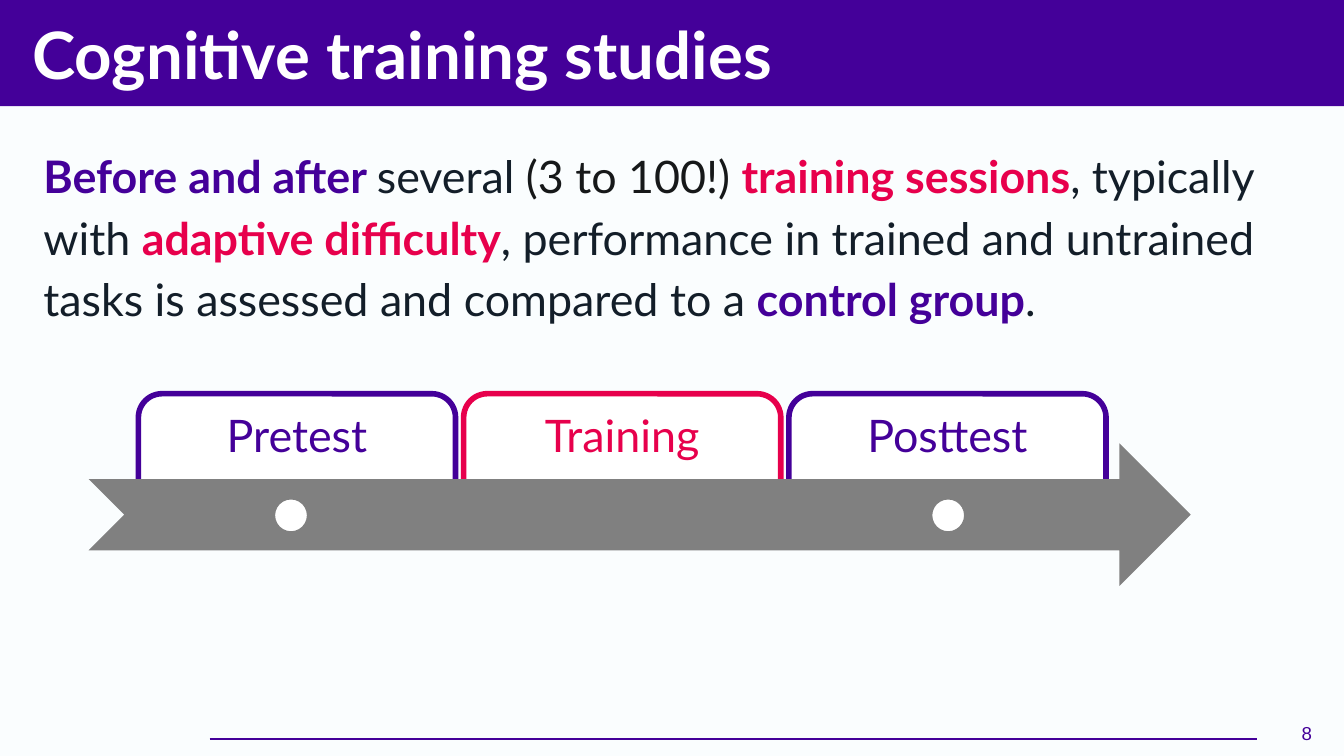
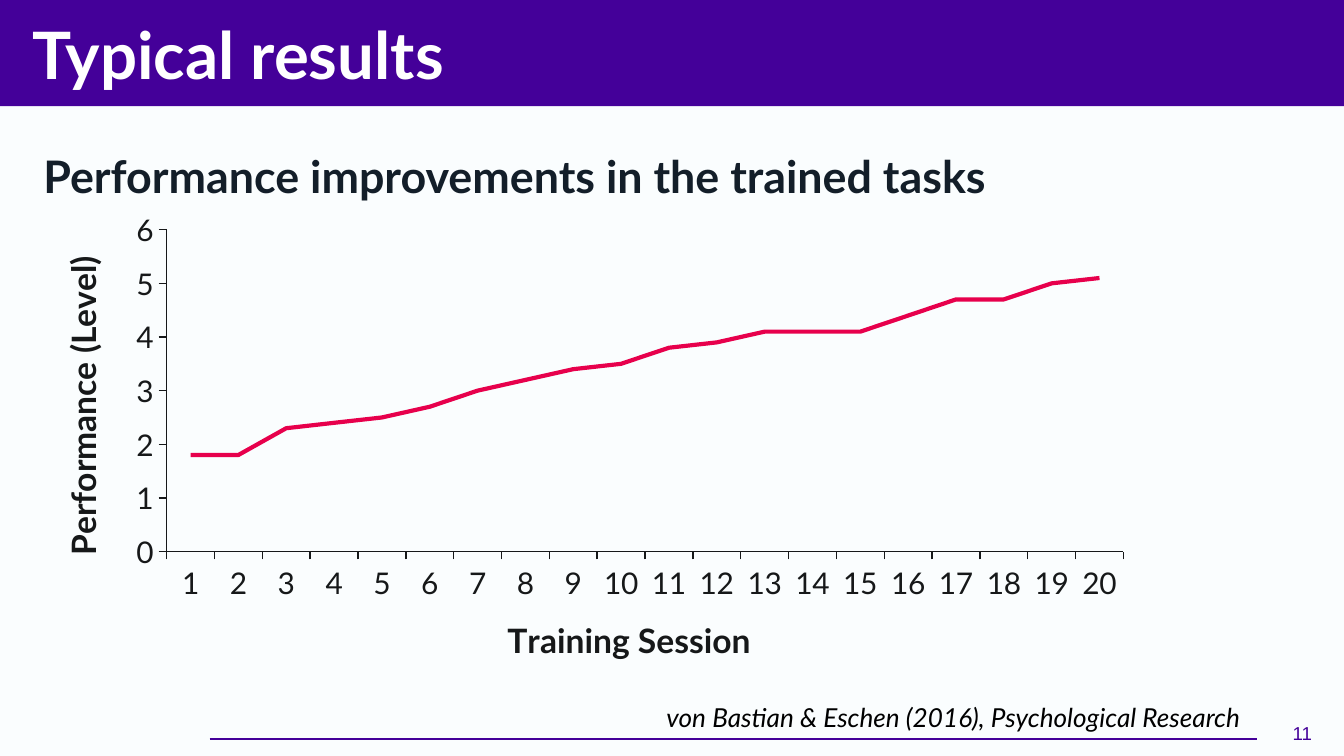
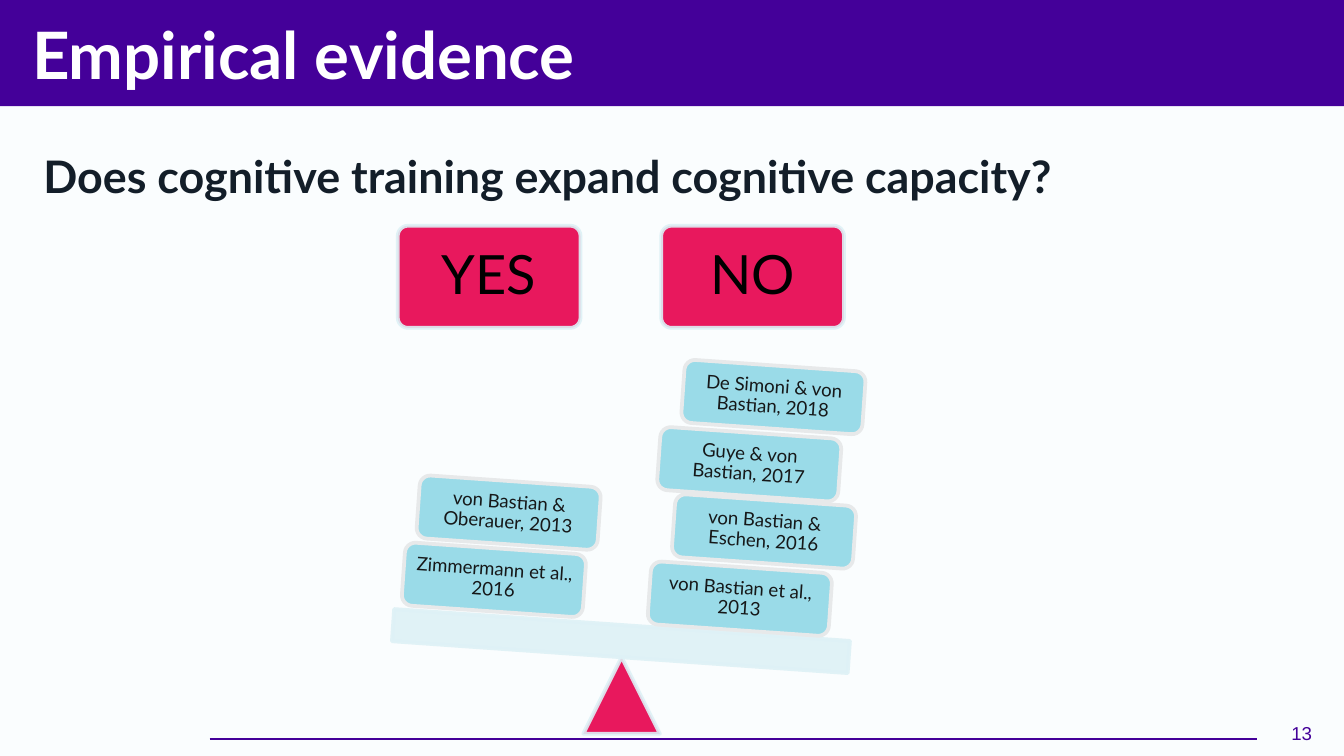
from dataclasses import dataclass
from typing import Optional, Sequence

from lxml.etree import SubElement
from pptx import Presentation
from pptx.chart.data import CategoryChartData
from pptx.dml.color import RGBColor
from pptx.enum.chart import XL_CHART_TYPE, XL_TICK_MARK
from pptx.enum.shapes import MSO_CONNECTOR, MSO_SHAPE
from pptx.enum.text import MSO_ANCHOR, PP_ALIGN
from pptx.oxml.ns import qn
from pptx.util import Emu, Inches, Pt

# Square grid: 100 columns across a 16:9 slide, rows of the same size
SLIDE_WIDTH = Inches(10)
SLIDE_HEIGHT = Emu(SLIDE_WIDTH * 9 // 16)
CELL = SLIDE_WIDTH / 100

PURPLE, RED, WHITE, BLACK = "440099", "E7004C", "FFFFFF", "000000"
INK, CHARCOAL, GREY = "131E29", "161819", "808080"
BACKGROUND, PALE, AQUA, MIST = "FAFDFE", "DEF1F6", "9ADBE8", "E7E9EA"
TILT = 4


@dataclass(frozen=True)
class Box:
    left: float
    top: float
    width: float = 0
    height: float = 0

    def lengths(self) -> list[Emu]:
        return [cells(n) for n in (self.left, self.top, self.width, self.height)]


@dataclass(frozen=True)
class Run:
    text: str
    color: str = INK
    bold: bool = False


@dataclass(frozen=True)
class TextStyle:
    size: float
    font: str = "Lato"
    align: PP_ALIGN = PP_ALIGN.LEFT
    anchor: MSO_ANCHOR = MSO_ANCHOR.MIDDLE
    inset: tuple[float, float] = (1, 1)
    indent: float = 0
    spacing: float = 1
    italic: bool = False


@dataclass(frozen=True)
class ShapeStyle:
    fill: str
    line: Optional[str] = None
    line_width: float = 1
    opacity: int = 100
    rotation: float = 0
    corner: Optional[float] = None


@dataclass(frozen=True)
class Stack:
    base: float
    studies: Sequence[tuple[float, str]]  # left column and label, bottom up


TITLE = TextStyle(35)
BODY = TextStyle(24, anchor=MSO_ANCHOR.TOP, indent=0.8, spacing=1.15)
PAGE_NUMBER = TextStyle(10, font="Arial", align=PP_ALIGN.RIGHT)
CITATION = TextStyle(14, align=PP_ALIGN.RIGHT, anchor=MSO_ANCHOR.TOP,
                     inset=(1, 0.5), italic=True)
PHASE = TextStyle(24, align=PP_ALIGN.CENTER, anchor=MSO_ANCHOR.TOP, inset=(1, 0.5))
VERDICT = TextStyle(29, align=PP_ALIGN.CENTER, inset=(1.2, 1.2), spacing=0.9)
STUDY = TextStyle(10, align=PP_ALIGN.CENTER, inset=(0.4, 0.4), spacing=0.9)

CHART = Box(2.2, 15.1, 83.1, 36.5)


def cells(count: float) -> Emu:
    return Emu(round(count * CELL))


def rgb(color: str) -> RGBColor:
    return RGBColor.from_string(color)


# Drawing helpers
def write(shape, runs: Sequence[Run], style: TextStyle) -> None:
    frame = shape.text_frame
    frame.word_wrap = True
    frame.vertical_anchor = style.anchor
    frame.margin_left = frame.margin_right = cells(style.inset[0])
    frame.margin_top = frame.margin_bottom = cells(style.inset[1])
    paragraph = frame.paragraphs[0]
    paragraph.alignment = style.align
    paragraph.line_spacing = style.spacing
    if style.indent:
        properties = paragraph._p.get_or_add_pPr()
        properties.set("marL", str(cells(style.indent)))
        properties.set("indent", "0")
    font = paragraph.font
    font.name, font.size, font.italic = style.font, Pt(style.size), style.italic
    for part in runs:
        run = paragraph.add_run()
        run.text = part.text
        target = font if len(runs) == 1 else run.font
        target.bold = part.bold
        target.color.rgb = rgb(part.color)


def add_text(slide, box: Box, runs: Sequence[Run], style: TextStyle) -> None:
    write(slide.shapes.add_textbox(*box.lengths()), runs, style)


def add_figure(slide, kind: MSO_SHAPE, box: Box, style: ShapeStyle):
    shape = slide.shapes.add_shape(kind, *box.lengths())
    shape.shadow.inherit = False
    shape.rotation = style.rotation
    shape.fill.solid()
    shape.fill.fore_color.rgb = rgb(style.fill)
    if style.line:
        shape.line.color.rgb = rgb(style.line)
        shape.line.width = Pt(style.line_width)
    else:
        shape.line.fill.background()
    if style.corner is not None:
        shape.adjustments[0] = style.corner
    if style.opacity < 100:
        for color in list(shape._element.spPr.iter(qn("a:srgbClr"))):
            SubElement(color, qn("a:alpha"), val=str(style.opacity * 1000))
    return shape


def add_frame_slide(presentation, title: str, body: Sequence[Run], number: int):
    """Slide with the band, title, body text, footer line and page number."""
    slide = presentation.slides.add_slide(presentation.slide_layouts[6])
    slide.background.fill.solid()
    slide.background.fill.fore_color.rgb = rgb(BACKGROUND)
    add_figure(slide, MSO_SHAPE.RECTANGLE, Box(-0.2, 0, 100.4, 7.9), ShapeStyle(PURPLE))
    rule = slide.shapes.add_connector(
        MSO_CONNECTOR.STRAIGHT, cells(15.6), cells(55), cells(93.5), cells(55))
    rule.line.color.rgb = rgb(PURPLE)
    rule.line.width = Pt(0.75)
    SubElement(rule._element.spPr, qn("a:effectLst"))
    add_text(slide, Box(1.4, 0.8, 89.6, 6.3), [Run(title, WHITE, True)], TITLE)
    add_text(slide, Box(1.45, 9.45, 96.4, 39.7), body, BODY)
    add_text(slide, Box(93.5, 52.4, 5.1, 4.3), [Run(str(number), PURPLE)], PAGE_NUMBER)
    return slide


# Chart helpers
def set_layout(element, index: int, box: Box) -> None:
    """Place a chart part, given in slide cells, inside the chart."""
    for old in element.findall(qn("c:layout")):
        element.remove(old)
    layout = SubElement(element, qn("c:layout"))
    element.insert(index, layout)
    manual = SubElement(layout, qn("c:manualLayout"))
    shares = {"x": (box.left - CHART.left) / CHART.width,
              "y": (box.top - CHART.top) / CHART.height}
    if box.width:
        SubElement(manual, qn("c:layoutTarget"), val="inner")
        shares |= {"w": box.width / CHART.width, "h": box.height / CHART.height}
    for mode in ("xMode", "yMode"):
        SubElement(manual, qn(f"c:{mode}"), val="edge")
    for name, share in shares.items():
        SubElement(manual, qn(f"c:{name}"), val=f"{share:.4f}")


def set_font(font, size: float, bold: bool = False) -> None:
    font.name, font.size, font.bold = "Lato", Pt(size), bold
    font.color.rgb = rgb(CHARCOAL)


def style_axis(axis, title: str, place: Box) -> None:
    axis.has_major_gridlines = False
    axis.major_tick_mark = XL_TICK_MARK.OUTSIDE
    axis.minor_tick_mark = XL_TICK_MARK.NONE
    axis.format.line.color.rgb = rgb(CHARCOAL)
    axis.format.line.width = Pt(0.75)
    set_font(axis.tick_labels.font, 16)
    axis.axis_title.text_frame.text = title
    set_font(axis.axis_title.text_frame.paragraphs[0].font, 18, True)
    set_layout(axis.axis_title._element, 1, place)


# Slides
def build_studies(presentation) -> None:
    slide = add_frame_slide(presentation, "Cognitive training studies", [
        Run("Before and after ", PURPLE, True),
        Run("several "),
        Run("(3 to 100!) ", CHARCOAL),
        Run("training sessions", RED, True),
        Run(", typically with "),
        Run("adaptive difficulty", RED, True),
        Run(", performance in trained and untrained tasks is assessed "
            "and compared to a "),
        Run("control group", PURPLE, True),
        Run("."),
    ], 8)
    phases = [("Pretest", PURPLE), ("Training", RED), ("Posttest", PURPLE)]
    for column, (name, color) in enumerate(phases):
        tab = add_figure(slide, MSO_SHAPE.ROUNDED_RECTANGLE,
                         Box(10.3 + 24.2 * column, 29.3, 23.6, 10.6),
                         ShapeStyle(WHITE, color, 3))
        write(tab, [Run(name, color)], PHASE)
    add_figure(slide, MSO_SHAPE.NOTCHED_RIGHT_ARROW, Box(6.6, 33, 82, 10.6),
               ShapeStyle(GREY))
    for left in (20.4, 69.3):
        add_figure(slide, MSO_SHAPE.OVAL, Box(left, 37.1, 2.5, 2.5),
                   ShapeStyle(WHITE, GREY))


def build_results(presentation) -> None:
    slide = add_frame_slide(
        presentation, "Typical results",
        [Run("Performance improvements in the trained tasks", bold=True)], 11)
    data = CategoryChartData()
    data.categories = [str(session) for session in range(1, 21)]
    data.add_series("Series 1", [1.8, 1.8, 2.3, 2.4, 2.5, 2.7, 3, 3.2, 3.4, 3.5,
                                 3.8, 3.9, 4.1, 4.1, 4.1, 4.4, 4.7, 4.7, 5, 5.1])
    chart = slide.shapes.add_chart(XL_CHART_TYPE.LINE, *CHART.lengths(), data).chart
    chart.has_title = chart.has_legend = False
    set_font(chart.font, 18)
    plot = chart.plots[0]
    plot.vary_by_categories = False
    series = plot.series[0]
    series.smooth = False
    series.format.line.color.rgb = rgb(RED)
    series.format.line.width = Pt(2.25)
    style_axis(chart.category_axis, "Training Session", Box(37.3, 45.4))
    style_axis(chart.value_axis, "Performance (Level)", Box(3.9, 18.6))
    chart.value_axis.minimum_scale, chart.value_axis.maximum_scale = 0, 6
    chart.value_axis.major_unit = 1
    set_layout(chart._chartSpace.find(".//" + qn("c:plotArea")), 0,
               Box(12.4, 17.1, 71.2, 23.95))
    add_text(slide, Box(14.8, 51.7, 78.5, 3.4),
             [Run("von Bastian & Eschen (2016), Psychological Research", BLACK)], CITATION)


def build_evidence(presentation) -> None:
    slide = add_frame_slide(
        presentation, "Empirical evidence",
        [Run("Does cognitive training expand cognitive capacity?", bold=True)], 13)
    # Verdict cards
    for left, verdict in ((29.6, "YES"), (49.2, "NO")):
        card = add_figure(slide, MSO_SHAPE.ROUNDED_RECTANGLE, Box(left, 16.8, 13.6, 7.6),
                          ShapeStyle(RED, PALE, 2, opacity=90, corner=0.1))
        write(card, [Run(verdict, BLACK)], VERDICT)
    # Seesaw
    add_figure(slide, MSO_SHAPE.ISOSCELES_TRIANGLE, Box(43.4, 48.9, 5.7, 5.7),
               ShapeStyle(RED, PALE, 2, opacity=90))
    add_figure(slide, MSO_SHAPE.RECTANGLE, Box(29.2, 46.5, 34, 2.4),
               ShapeStyle(PALE, PALE, 2, opacity=90, rotation=TILT))
    # Studies piled on each side
    stacks = [
        Stack(42.2, [(48.3, "von Bastian et al., 2013"),
                     (50.1, "von Bastian & Eschen, 2016"),
                     (49, "Guye & von Bastian, 2017"),
                     (50.8, "De Simoni & von Bastian, 2018")]),
        Stack(40.8, [(30, "Zimmermann et al., 2016"),
                     (31.1, "von Bastian & Oberauer, 2013")]),
    ]
    for stack in stacks:
        for level, (left, label) in enumerate(stack.studies):
            block = add_figure(slide, MSO_SHAPE.ROUNDED_RECTANGLE,
                               Box(left, stack.base - 5 * level, 13.5, 4.7),
                               ShapeStyle(AQUA, MIST, 2, rotation=TILT))
            write(block, [Run(label, CHARCOAL)], STUDY)


def main() -> None:
    presentation = Presentation()
    presentation.slide_width, presentation.slide_height = SLIDE_WIDTH, SLIDE_HEIGHT
    build_studies(presentation)
    build_results(presentation)
    build_evidence(presentation)
    presentation.save("out.pptx")


if __name__ == "__main__":
    main()
